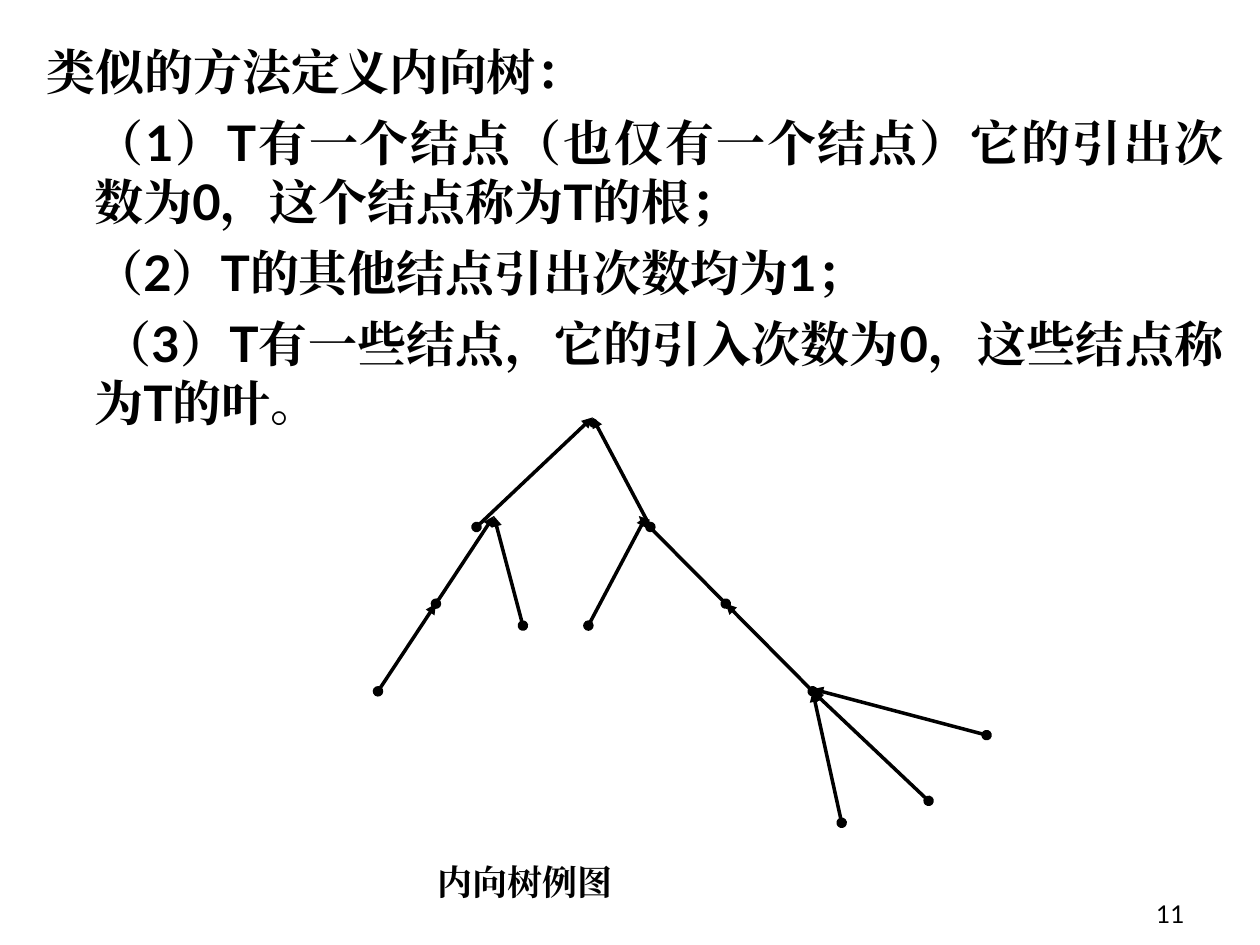
from itertools import groupby

from lxml import etree
from pptx import Presentation
from pptx.dml.color import RGBColor
from pptx.enum.shapes import MSO_CONNECTOR
from pptx.enum.text import MSO_ANCHOR, MSO_AUTO_SIZE, PP_ALIGN
from pptx.oxml.ns import qn
from pptx.util import Inches, Pt

STRAIGHT = MSO_CONNECTOR.STRAIGHT
TOP, MIDDLE, BOTTOM = MSO_ANCHOR.TOP, MSO_ANCHOR.MIDDLE, MSO_ANCHOR.BOTTOM
CENTER, RIGHT, JUSTIFY = PP_ALIGN.CENTER, PP_ALIGN.RIGHT, PP_ALIGN.JUSTIFY
NO_AUTOFIT = MSO_AUTO_SIZE.NONE

COLORS = {"ink": "000000", "paper": "FFFFFF"}
CHINESE_FONT, LATIN_FONT, SYMBOL_FONT = "Times New Roman", "Lato", "Arial"

BODY_BOX = (0.27, 0.28, 9.54, 4.5)
TREE_BOX = (3, 3.4, 4.83, 3.13)
CAPTION_BOX = (1.83, 6.71, 4.67, 0.58)
NUMBER_BOX = (7.42, 6.92, 2.08, 0.5)
TREE_COLUMNS, TREE_ROWS = 21, 18
HANGING = 0.38

DEFINITION = [
    ("类似的方法定义内向树：", -HANGING),
    ("（1）T有一个结点（也仅有一个结点）它的引出次数为0，这个结点称为T的根；", 0),
    ("（2）T的其他结点引出次数均为1；", 0),
    ("（3）T有一些结点，它的引入次数为0，这些结点称为T的叶。", 0.06),
]

ROOT = (7.4, -0.5)
LEFT_FORK, RIGHT_FORK = (4, 4), (9, 4)
LEFT_MIDDLE, RIGHT_MIDDLE = (2, 8), (12, 8)
LOW_FORK = (15, 12)
EDGES = [
    ((0, 12), LEFT_MIDDLE),
    (LEFT_MIDDLE, LEFT_FORK),
    (RIGHT_MIDDLE, RIGHT_FORK),
    (LOW_FORK, RIGHT_MIDDLE),
    ((16, 18), LOW_FORK),
    ((19, 17), LOW_FORK),
    ((21, 14), (15, 11.9)),
    ((5, 9), LEFT_FORK),
    ((7.26, 9), (9.26, 4)),
    ((9.4, 4.5), ROOT),
    ((3.4, 4.5), ROOT),
]


def color(name):
    return RGBColor.from_string(COLORS[name])


def add_run(paragraph, text, size, font_name, bold=False):
    run = paragraph.add_run()
    run.text = text
    run.font.size = Pt(size)
    run.font.bold = bold
    run.font.name = font_name
    run.font.color.rgb = color("ink")
    latin = run.font._element.find(qn("a:latin"))
    east_asian = etree.Element(qn("a:ea"), typeface=font_name)
    latin.addnext(east_asian)


def add_mixed_runs(paragraph, text, size):
    for is_latin, characters in groupby(text, str.isascii):
        font_name = LATIN_FONT if is_latin else CHINESE_FONT
        add_run(paragraph, "".join(characters), size, font_name, True)


def add_label(slide, box, text, size, font_name, alignment, anchor, bold=False, wrap=True):
    shape = slide.shapes.add_textbox(*map(Inches, box))
    frame = shape.text_frame
    frame.word_wrap = wrap
    frame.auto_size = NO_AUTOFIT
    frame.vertical_anchor = anchor
    paragraph = frame.paragraphs[0]
    paragraph.alignment = alignment
    add_run(paragraph, text, size, font_name, bold)


def fill_definition(placeholder, box):
    placeholder.left, placeholder.top, placeholder.width, placeholder.height = map(Inches, box)
    frame = placeholder.text_frame
    frame.word_wrap = True
    frame.auto_size = NO_AUTOFIT
    frame.vertical_anchor = TOP
    for index, (text, first_indent) in enumerate(DEFINITION):
        paragraph = frame.add_paragraph() if index else frame.paragraphs[0]
        properties = paragraph._p.get_or_add_pPr()
        properties.set("marL", str(Inches(HANGING)))
        properties.set("indent", str(Inches(first_indent)))
        etree.SubElement(properties, qn("a:buNone"))
        paragraph.alignment = JUSTIFY
        paragraph.space_before = Pt(7 if index else 0)
        add_mixed_runs(paragraph, text, 28)


def add_edge(slide, start, end):
    connector = slide.shapes.add_connector(STRAIGHT, *map(Inches, start + end))
    connector.line.color.rgb = color("ink")
    connector.line.width = Pt(2)
    line = connector.line._get_or_add_ln()
    etree.SubElement(line, qn("a:headEnd"), type="oval")
    etree.SubElement(line, qn("a:tailEnd"), type="triangle")
    etree.SubElement(connector._element.spPr, qn("a:effectLst"))


def draw_tree(slide, box):
    left, top, width, height = box

    def place(node):
        column, row = node
        return left + column * width / TREE_COLUMNS, top + row * height / TREE_ROWS

    root_x, root_y = place(ROOT)
    root_box = (root_x - 0.14, root_y - 0.12, 0.69, 0.52)
    add_label(slide, root_box, "●", 12, SYMBOL_FONT, JUSTIFY, TOP)
    for child, parent in EDGES:
        add_edge(slide, place(child), place(parent))


def main():
    presentation = Presentation()
    presentation.slide_width, presentation.slide_height = Inches(10), Inches(7.5)
    slide = presentation.slides.add_slide(presentation.slide_layouts[1])
    slide.background.fill.solid()
    slide.background.fill.fore_color.rgb = color("paper")
    title = slide.shapes.title._element
    title.getparent().remove(title)
    add_label(slide, NUMBER_BOX, "11", 14, LATIN_FONT, RIGHT, BOTTOM)
    fill_definition(slide.placeholders[1], BODY_BOX)
    draw_tree(slide, TREE_BOX)
    add_label(slide, CAPTION_BOX, "内向树例图", 20, CHINESE_FONT, CENTER, MIDDLE, True, False)
    presentation.save("out.pptx")


if __name__ == "__main__":
    main()
